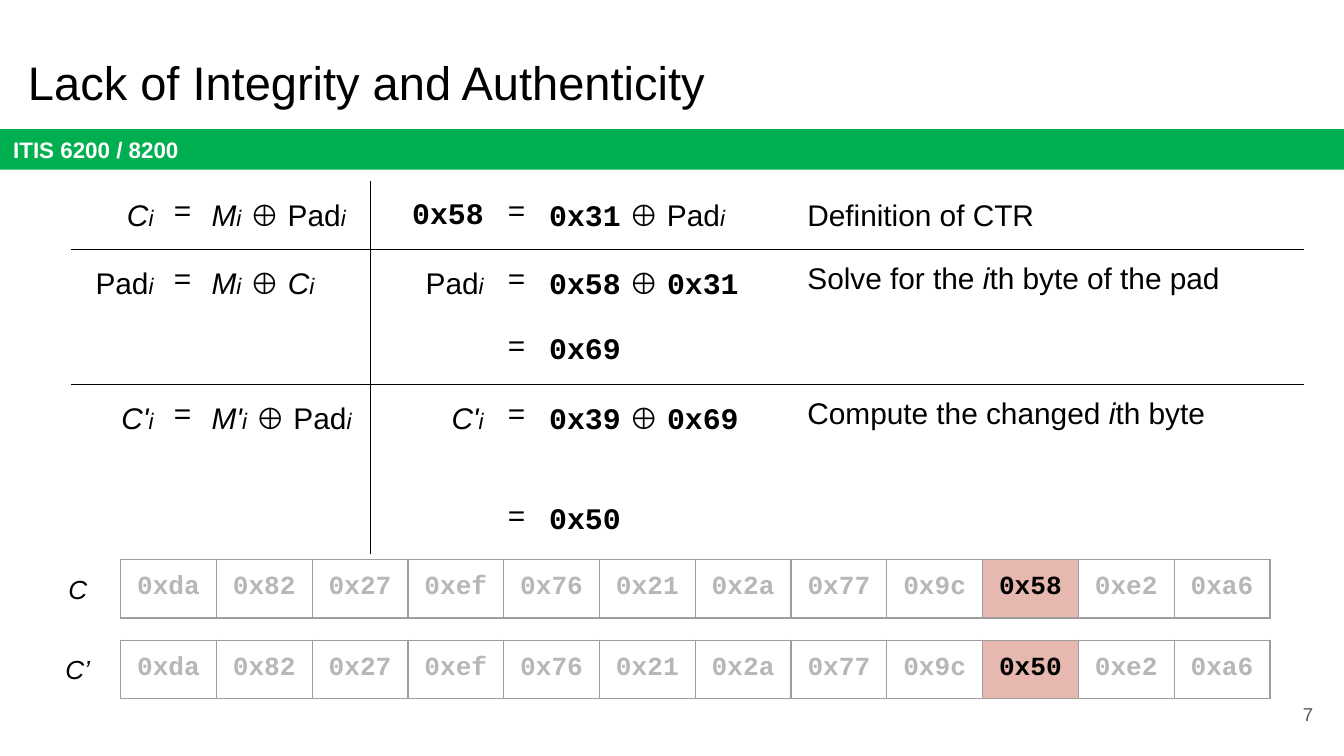
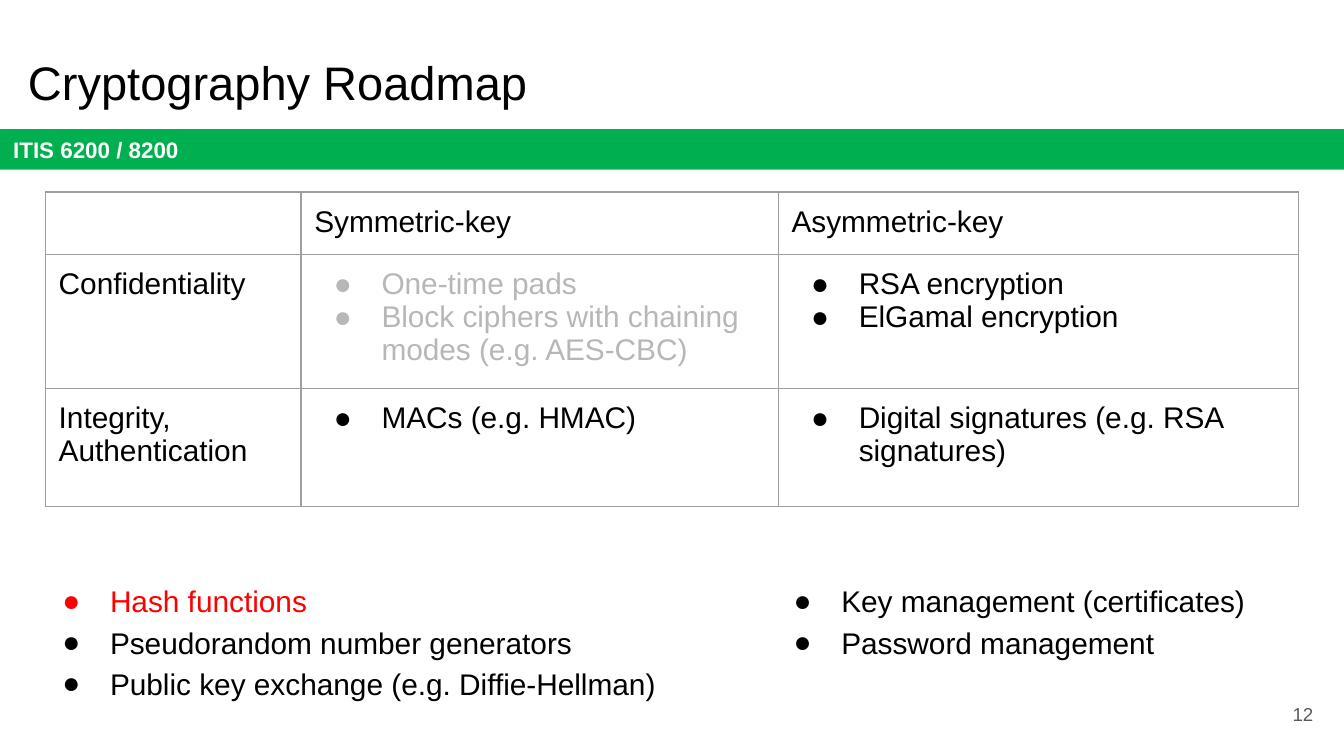
import pptx
import pptx.dml.color
import pptx.enum.shapes
import pptx.enum.text
import pptx.oxml.ns
import pptx.util
from lxml import etree

Cm = pptx.util.Cm
Pt = pptx.util.Pt
RGBColor = pptx.dml.color.RGBColor
ALIGN = pptx.enum.text.PP_ALIGN
ANCHOR = pptx.enum.text.MSO_ANCHOR
qn = pptx.oxml.ns.qn

BLACK = RGBColor(0x00, 0x00, 0x00)
WHITE = RGBColor(0xFF, 0xFF, 0xFF)
GREEN = RGBColor(0x00, 0xB0, 0x50)
RED = RGBColor(0xFF, 0x00, 0x00)
FADED = RGBColor(0xB7, 0xB7, 0xB7)
GRID = RGBColor(0x9E, 0x9E, 0x9E)
PAGE_GRAY = RGBColor(0x59, 0x59, 0x59)
HIGHLIGHT = RGBColor(0xE6, 0xB8, 0xAF)

SANS = "Arial"
MONO = "Courier New"
INSET = Cm(0.25)
SLIDE_WIDTH = 25.4

INDEX = ("i", {"size": 12, "italic": True})
XOR = (" ⊕ ", {})
PAD = [("Pad", {}), INDEX]
BYTES = "0xda 0x82 0x27 0xef 0x76 0x21 0x2a 0x77 0x9c {} 0xe2 0xa6"
CHANGED_BYTE = 9


def var(name):
    """Return the runs of an italic variable with its index."""
    return [(name, {"italic": True}), INDEX]


def code(value):
    """Return the run of a byte in bold monospace."""
    return (value, {"font": MONO, "bold": True})


def write(paragraph, text, size=16, color=BLACK, font=SANS, bold=False, italic=False):
    """Append text in one format to a paragraph, breaking at newlines."""
    for number, line in enumerate(text.split("\n")):
        if number:
            paragraph.add_line_break()
        run = paragraph.add_run()
        run.text = line
        run.font.size = Pt(size)
        run.font.name = font
        run.font.bold = bold
        run.font.italic = italic
        run.font.color.rgb = color


def write_runs(paragraph, runs, align=ALIGN.LEFT, spacing=None, after=None):
    """Lay out a paragraph made of (text, format) pairs."""
    paragraph.alignment = align
    if spacing:
        paragraph.line_spacing = spacing
    if after:
        paragraph.space_after = Pt(after)
    for text, style in runs:
        write(paragraph, text, **style)


def add_bullet(paragraph, color):
    """Give a paragraph a hanging round bullet."""
    properties = paragraph._p.get_or_add_pPr()
    properties.set("marL", str(Cm(1.27)))
    properties.set("indent", str(Cm(-0.9)))
    bullet_color = etree.SubElement(properties, qn("a:buClr"))
    etree.SubElement(bullet_color, qn("a:srgbClr"), val=str(color))
    etree.SubElement(properties, qn("a:buFont"), typeface=SANS)
    etree.SubElement(properties, qn("a:buChar"), char="●")


def write_bullets(frame, items, spacing=None):
    """Fill a text frame with bulleted (text, color) items."""
    for number, (text, color) in enumerate(items):
        paragraph = frame.add_paragraph() if number else frame.paragraphs[0]
        add_bullet(paragraph, color)
        write_runs(paragraph, [(text, {"color": color})], spacing=spacing)


def set_frame(frame, anchor=ANCHOR.TOP):
    """Set wrapping, insets and anchor of a text frame."""
    frame.word_wrap = True
    frame.vertical_anchor = anchor
    frame.margin_left = frame.margin_right = INSET
    frame.margin_top = frame.margin_bottom = INSET


def add_box(slide, left, top, width, height, anchor=ANCHOR.TOP):
    """Add a text box and return its text frame."""
    frame = slide.shapes.add_textbox(Cm(left), Cm(top), Cm(width), Cm(height)).text_frame
    set_frame(frame, anchor)
    return frame


def add_label(slide, left, top, width, height, text, align=ALIGN.LEFT, anchor=ANCHOR.TOP, **style):
    """Add a text box with a single line."""
    frame = add_box(slide, left, top, width, height, anchor)
    write_runs(frame.paragraphs[0], [(text, style)], align)


def add_band(slide):
    """Add the green course band."""
    band = slide.shapes.add_shape(
        pptx.enum.shapes.MSO_SHAPE.RECTANGLE, 0, Cm(2.44), Cm(SLIDE_WIDTH), Cm(0.77))
    band.shadow.inherit = False
    band.fill.solid()
    band.fill.fore_color.rgb = GREEN
    band.line.fill.background()
    set_frame(band.text_frame, ANCHOR.MIDDLE)
    write_runs(band.text_frame.paragraphs[0],
               [("ITIS 6200 / 8200", {"size": 12, "color": WHITE, "bold": True})])


def add_course_slide(deck, title, page):
    """Add a slide with the shared band, title and page number."""
    slide = deck.slides.add_slide(deck.slide_layouts[6])
    add_band(slide)
    add_label(slide, 0.28, 0.76, 23.67, 1.6, title, size=25.2)
    add_label(slide, 23.55, 12.95, 1.52, 1.09, page, ALIGN.RIGHT, ANCHOR.MIDDLE,
              size=10, color=PAGE_GRAY)
    return slide


def set_borders(cell, sides, color):
    """Draw the named sides of a cell and clear the others."""
    properties = cell._tc.get_or_add_tcPr()
    for side in "LRTB":
        line = etree.SubElement(properties, qn(f"a:ln{side}"), w=str(Pt(0.75)))
        if side in sides:
            fill = etree.SubElement(line, qn("a:solidFill"))
            etree.SubElement(fill, qn("a:srgbClr"), val=str(color))
        else:
            etree.SubElement(line, qn("a:noFill"))


def add_grid(slide, left, top, widths, heights, color=GRID, sides_at=lambda row, column: "LRTB"):
    """Add an unfilled table with the given borders and return it."""
    table = slide.shapes.add_table(len(heights), len(widths), Cm(left), Cm(top),
                                   Cm(sum(widths)), Cm(sum(heights))).table
    table.first_row = table.horz_banding = False
    for column, width in zip(table.columns, widths):
        column.width = Cm(width)
    for row, height in zip(table.rows, heights):
        row.height = Cm(height)
    for r in range(len(heights)):
        for c in range(len(widths)):
            cell = table.cell(r, c)
            cell.margin_left = cell.margin_right = INSET
            cell.margin_top = cell.margin_bottom = INSET
            set_borders(cell, sides_at(r, c), color)
            cell.fill.background()
            etree.SubElement(cell.text_frame.paragraphs[0]._p, qn("a:endParaRPr"), sz="1600")
    return table


def derivation_sides(row, column):
    """Return the ruled sides of a cell in the derivation."""
    return "".join(side for side, ruled in (
        ("L", column == 3), ("R", column == 2),
        ("T", row in (1, 3)), ("B", row in (0, 2))) if ruled)


def add_derivation(slide):
    """Add the table that derives the changed byte."""
    equals = [("=", {})]
    steps = [
        [var("C"), equals, [*var("M"), XOR, *PAD],
         [code("0x58")], equals, [code("0x31"), XOR, *PAD], [("Definition of CTR", {})]],
        [PAD, equals, [*var("M"), XOR, *var("C")],
         PAD, equals, [code("0x58"), XOR, code("0x31")],
         [("Solve for the ", {}), ("i", {"italic": True}), ("th byte of the pad", {})]],
        [[], [], [], [], equals, [code("0x69")], []],
        [var("C'"), equals, [*var("M'"), XOR, *PAD],
         var("C'"), equals, [code("0x39"), XOR, code("0x69")],
         [("Compute the changed ", {}), ("i", {"italic": True}), ("th byte", {})]],
        [[], [], [], [], equals, [code("0x50")], []],
    ]
    table = add_grid(slide, 1.35, 3.43, [1.8, 0.56, 3.25, 2.39, 0.74, 4.88, 9.63],
                     [1.28, 1.27, 1.27, 1.93, 1.25], BLACK, derivation_sides)
    for r, step in enumerate(steps):
        for c, runs in enumerate(step):
            if not runs:
                continue
            cell = table.cell(r, c)
            paragraph = cell.text_frame.paragraphs[0]
            if runs is equals:
                cell.margin_left = cell.margin_right = 0
                write_runs(paragraph, runs, ALIGN.CENTER)
            elif c == 6 and r:
                write_runs(paragraph, runs)
            else:
                align = ALIGN.RIGHT if c in (0, 3) else ALIGN.LEFT
                write_runs(paragraph, runs, align, spacing=1.15, after=12)


def add_ciphertext(slide, top, name, changed):
    """Add a named strip of bytes with the changed one highlighted."""
    values = BYTES.format(changed).split()
    table = add_grid(slide, 2.28, top, [1.81] * len(values), [1.1])
    for number, value in enumerate(values):
        cell = table.cell(0, number)
        color = FADED
        if number == CHANGED_BYTE:
            color = BLACK
            cell.fill.solid()
            cell.fill.fore_color.rgb = HIGHLIGHT
        style = {"size": 14, "color": color, "font": MONO, "bold": True}
        write_runs(cell.text_frame.paragraphs[0], [(value, style)], ALIGN.CENTER)
    add_label(slide, 0.71, top, 1.52, 1.12, name, ALIGN.CENTER, size=14, italic=True)


def add_roadmap(slide):
    """Add the table of schemes by goal and key type."""
    table = add_grid(slide, 0.86, 3.63, [4.83, 9.02, 9.83], [1.14, 2.39, 2.24])
    headings = {(0, 1): "Symmetric-key", (0, 2): "Asymmetric-key",
                (1, 0): "Confidentiality", (2, 0): "Integrity,\nAuthentication"}
    schemes = {
        (1, 1): [("One-time pads", FADED),
                 ("Block ciphers with chaining modes (e.g. AES-CBC)", FADED)],
        (1, 2): [("RSA encryption", BLACK), ("ElGamal encryption", BLACK)],
        (2, 1): [("MACs (e.g. HMAC)", BLACK)],
        (2, 2): [("Digital signatures (e.g. RSA signatures)", BLACK)],
    }
    for place, heading in headings.items():
        write_runs(table.cell(*place).text_frame.paragraphs[0], [(heading, {})])
    for place, items in schemes.items():
        write_bullets(table.cell(*place).text_frame, items)


def main():
    """Build both slides and save the deck."""
    deck = pptx.Presentation()
    deck.slide_width, deck.slide_height = Cm(SLIDE_WIDTH), Cm(14.29)

    integrity = add_course_slide(deck, "Lack of Integrity and Authenticity", "7")
    add_derivation(integrity)
    add_ciphertext(integrity, 10.58, "C", "0x58")
    add_ciphertext(integrity, 12.1, "C’", "0x50")

    roadmap = add_course_slide(deck, "Cryptography Roadmap", "12")
    add_roadmap(roadmap)
    write_bullets(add_box(roadmap, 0.56, 10.67, 12.14, 3.25), [
        ("Hash functions", RED), ("Pseudorandom number generators", BLACK),
        ("Public key exchange (e.g. Diffie-Hellman)", BLACK)], spacing=1.15)
    write_bullets(add_box(roadmap, 14.38, 10.67, 9.58, 1.98), [
        ("Key management (certificates)", BLACK), ("Password management", BLACK)], spacing=1.15)

    deck.save("out.pptx")


if __name__ == "__main__":
    main()
